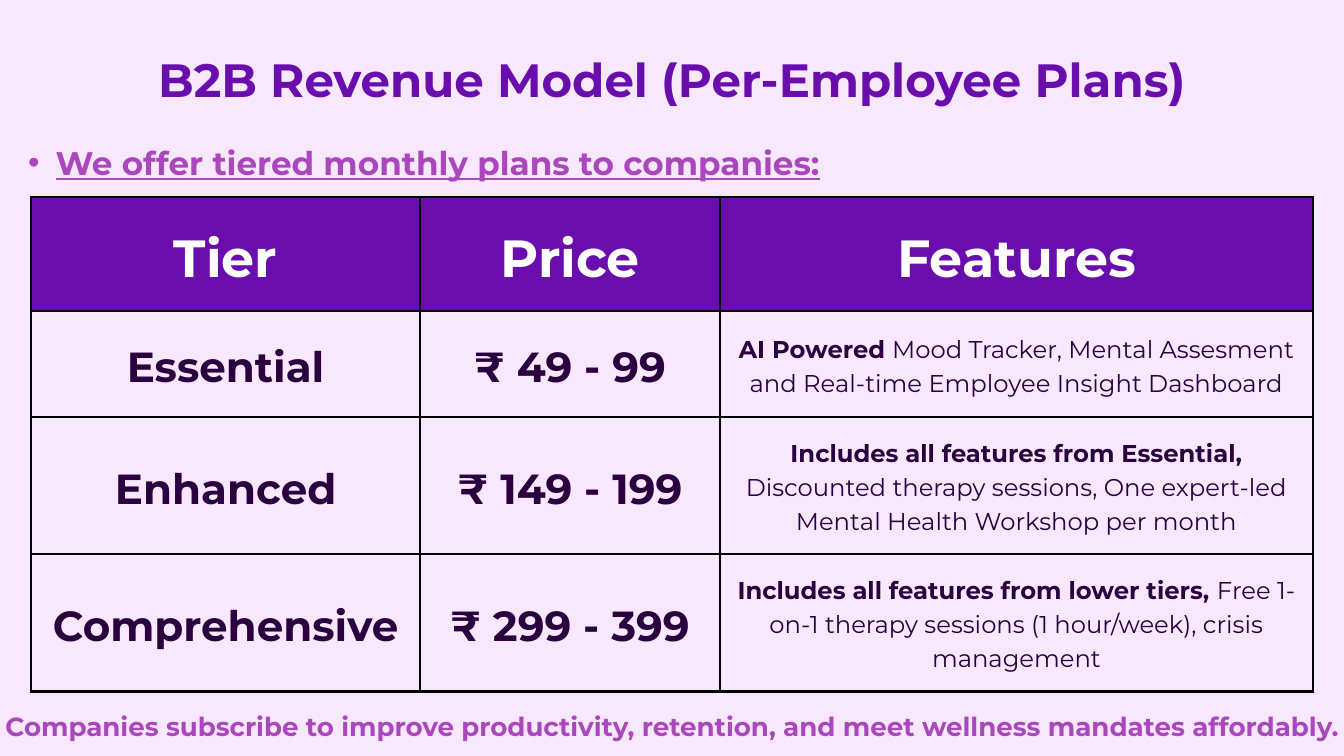
from lxml import etree
from pptx import Presentation
from pptx.dml.color import RGBColor
from pptx.enum.text import MSO_ANCHOR, MSO_AUTO_SIZE, PP_ALIGN
from pptx.oxml.ns import qn
from pptx.util import Inches, Pt

CENTER, JUSTIFY = PP_ALIGN.CENTER, PP_ALIGN.JUSTIFY
TOP, MIDDLE = MSO_ANCHOR.TOP, MSO_ANCHOR.MIDDLE
NO_AUTOFIT = MSO_AUTO_SIZE.NONE

FONT = "Montserrat"
LINE_SPACING = 1.4
BACKGROUND, PURPLE, ORCHID = "F7E8FF", "6A0DAD", "AB47BC"
WHITE, DARK, BLACK = "FFFFFF", "2B003E", "000000"

COLUMN_WIDTHS = [5.79, 4.46, 8.82]
ROW_HEIGHTS = [1.7, 1.57, 2.04, 2.04]
HEADERS = ["Tier", "Price", "Features"]
# Tier, price, bold part of the features, regular part of the features
PLANS = [
    ("Essential", "₹ 49 - 99", "AI Powered ",
     "Mood Tracker, Mental Assesment and Real-time Employee Insight Dashboard"),
    ("Enhanced", "₹ 149 - 199", "Includes all features from Essential, ",
     "Discounted therapy sessions, One expert-led Mental Health Workshop per month"),
    ("Comprehensive", "₹ 299 - 399", "Includes all features from lower tiers, ",
     "Free 1-on-1 therapy sessions (1 hour/week), crisis management"),
]


def rgb(value):
    return RGBColor.from_string(value)


def write(text_frame, parts, size, color, align=CENTER):
    """Fill one paragraph with runs; the first is bold, any others regular."""
    paragraph = text_frame.paragraphs[0]
    paragraph.alignment = align
    paragraph.line_spacing = Pt(round(size * LINE_SPACING, 1))
    for index, part in enumerate(parts):
        run = paragraph.add_run()
        run.text = part
        run.font.name = FONT
        run.font.size = Pt(size)
        run.font.bold = index == 0
        run.font.color.rgb = rgb(color)
    return paragraph


def prepare_frame(text_frame):
    text_frame.word_wrap = True
    text_frame.auto_size = NO_AUTOFIT
    text_frame.vertical_anchor = TOP
    text_frame.margin_left = text_frame.margin_right = 0
    text_frame.margin_top = text_frame.margin_bottom = 0
    return text_frame


def add_title(slide, left, top, width, height):
    title = slide.shapes.title
    title.left, title.top = Inches(left), Inches(top)
    title.width, title.height = Inches(width), Inches(height)
    write(prepare_frame(title.text_frame),
          ["B2B Revenue Model (Per-Employee Plans)"], 50, PURPLE)


def add_text(slide, left, top, width, height, text, size, align=CENTER):
    box = slide.shapes.add_textbox(
        Inches(left), Inches(top), Inches(width), Inches(height))
    return write(prepare_frame(box.text_frame), [text], size, ORCHID, align)


def add_bullet_line(slide, left, top, width, height):
    paragraph = add_text(slide, left, top, width, height,
                         "We offer tiered monthly plans to companies:", 35, JUSTIFY)
    paragraph.runs[0].font.underline = True
    paragraph.level = 1
    properties = paragraph._p.get_or_add_pPr()
    properties.set("marL", str(Inches(0.83)))
    properties.set("indent", str(Inches(-0.41)))
    etree.SubElement(properties, qn("a:buFont")).set("typeface", "Arial")
    etree.SubElement(properties, qn("a:buChar")).set("char", "•")


def add_borders(cell, color, width):
    properties = cell._tc.get_or_add_tcPr()
    for side in ("a:lnL", "a:lnR", "a:lnT", "a:lnB"):
        line = etree.SubElement(properties, qn(side))
        line.set("w", str(Pt(width)))
        fill = etree.SubElement(line, qn("a:solidFill"))
        etree.SubElement(fill, qn("a:srgbClr")).set("val", color)


def fill_cell(cell, parts, size, color, fill=None):
    cell.margin_left = cell.margin_right = Inches(0.21)
    cell.margin_top = cell.margin_bottom = Inches(0.21)
    cell.vertical_anchor = MIDDLE
    add_borders(cell, BLACK, 3)
    if fill:
        cell.fill.solid()
        cell.fill.fore_color.rgb = rgb(fill)
    else:
        cell.fill.background()
    write(cell.text_frame, parts, size, color)


def add_plan_table(slide, left, top, width, height):
    table = slide.shapes.add_table(
        len(ROW_HEIGHTS), len(COLUMN_WIDTHS),
        Inches(left), Inches(top), Inches(width), Inches(height)).table
    table.first_row = table.horz_banding = False
    for column, share in zip(table.columns, COLUMN_WIDTHS):
        column.width = Inches(width * share / sum(COLUMN_WIDTHS))
    for row, share in zip(table.rows, ROW_HEIGHTS):
        row.height = Inches(height * share / sum(ROW_HEIGHTS))

    for column, header in enumerate(HEADERS):
        fill_cell(table.cell(0, column), [header], 56, WHITE, PURPLE)
    for row, (tier, price, *features) in enumerate(PLANS, start=1):
        fill_cell(table.cell(row, 0), [tier], 45, DARK)
        fill_cell(table.cell(row, 1), [price], 45, DARK)
        fill_cell(table.cell(row, 2), features, 26, DARK)


def main():
    presentation = Presentation()
    presentation.slide_width = Inches(20)
    presentation.slide_height = Inches(11.25)
    slide = presentation.slides.add_slide(presentation.slide_layouts[5])
    slide.background.fill.solid()
    slide.background.fill.fore_color.rgb = rgb(BACKGROUND)

    add_plan_table(slide, 0.46, 2.93, 19.08, 7.36)
    add_title(slide, 0, 0.62, 20, 0.92)
    add_bullet_line(slide, 0, 2.03, 20, 0.65)
    add_text(slide, 0, 10.49, 20, 0.52,
             "Companies subscribe to improve productivity, retention, "
             "and meet wellness mandates affordably.", 28)
    presentation.save("out.pptx")


if __name__ == "__main__":
    main()
